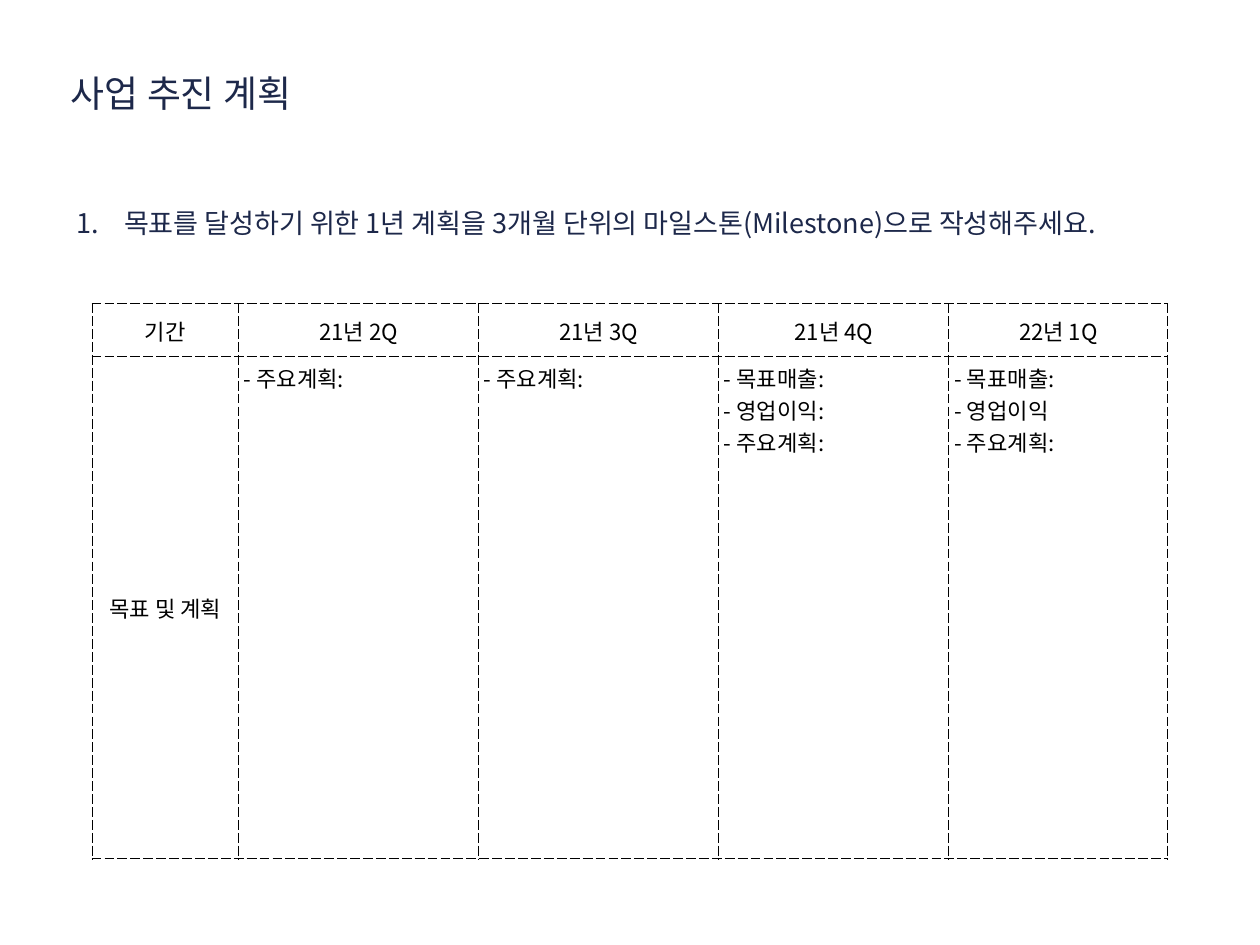
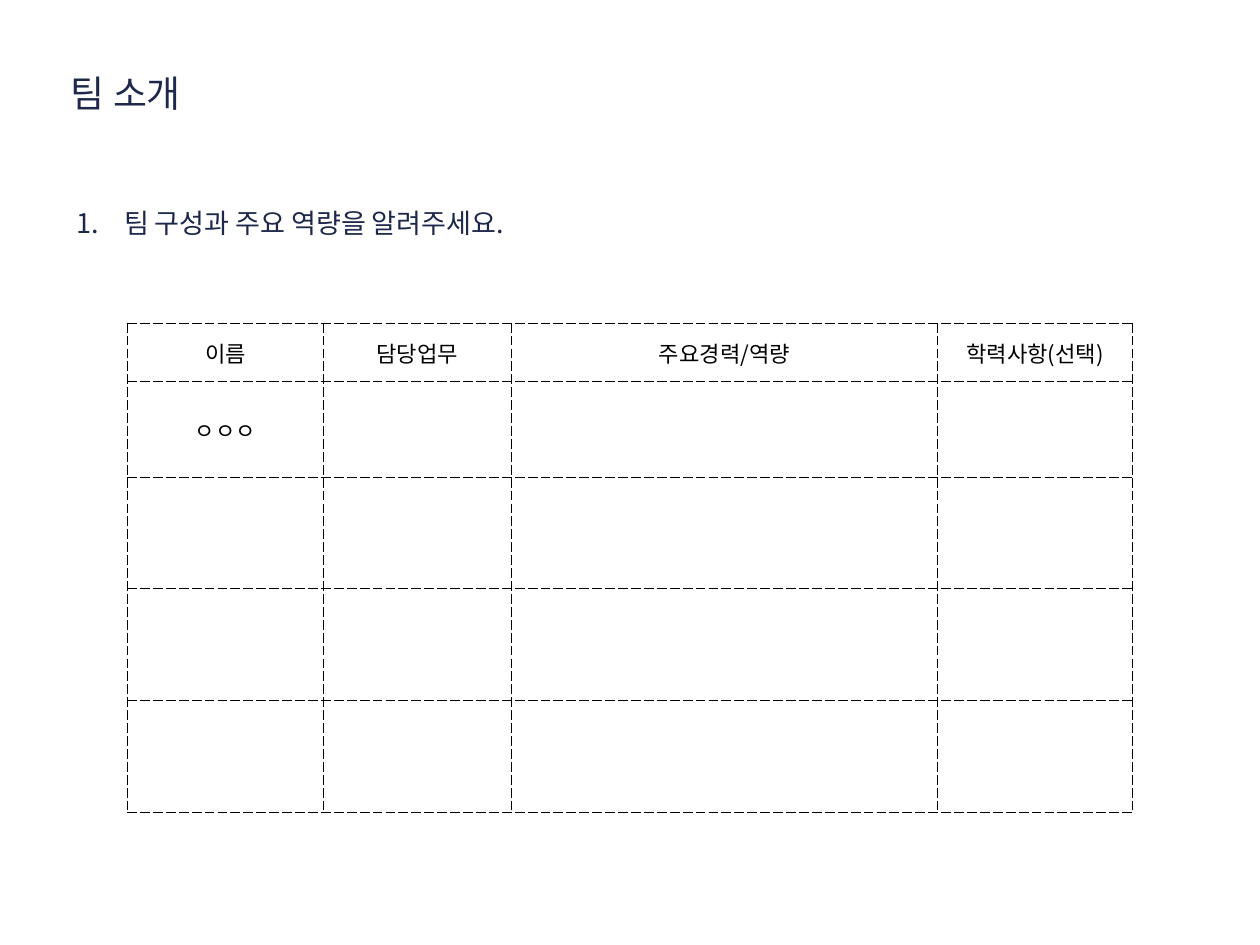
from dataclasses import dataclass

from lxml.etree import SubElement
from pptx import Presentation
from pptx.dml.color import RGBColor
from pptx.enum.text import MSO_ANCHOR, MSO_AUTO_SIZE, PP_ALIGN
from pptx.oxml.ns import qn
from pptx.presentation import Presentation as Deck
from pptx.slide import Slide
from pptx.table import _Cell
from pptx.text.text import TextFrame
from pptx.util import Emu, Pt

EMU_PER_PX = 9144
FONT = "Noto Sans CJK KR"
COLORS = {"navy": "1D284A", "black": "000000"}
INSET = 6
NUMBER_INDENT = 54


@dataclass(frozen=True)
class Grid:
    left: int
    top: int
    columns: tuple[int, ...]
    rows: tuple[int, ...]
    cells: tuple[tuple[str, ...], ...]


@dataclass(frozen=True)
class Page:
    title: str
    title_width: int
    question: str
    grid: Grid


PAGES = (
    Page(
        "사업 추진 계획",
        261,
        "목표를 달성하기 위한 1년 계획을 3개월 단위의 마일스톤(Milestone)으로 작성해주세요.",
        Grid(
            104, 343, (165, 271, 271, 260, 247), (60, 566),
            (
                ("기간", "21년 2Q", "21년 3Q", "21년 4Q", "22년 1Q"),
                (
                    "목표 및 계획",
                    "- 주요계획:",
                    "- 주요계획:",
                    "- 목표매출:\n- 영업이익:\n- 주요계획:",
                    "- 목표매출:\n- 영업이익\n- 주요계획:",
                ),
            ),
        ),
    ),
    Page(
        "팀 소개",
        137,
        "팀 구성과 주요 역량을 알려주세요.",
        Grid(
            144, 365, (221, 212, 481, 220), (66, 108, 126, 126, 126),
            (
                ("이름", "담당업무", "주요경력/역량", "학력사항(선택)"),
                ("ㅇㅇㅇ",),
            ),
        ),
    ),
)


def px(length: int) -> Emu:
    return Emu(length * EMU_PER_PX)


def write_text(frame: TextFrame, text: str, *, size: int, color: str,
               align: PP_ALIGN = PP_ALIGN.LEFT, line_spacing: float | None = None,
               numbered: bool = False) -> None:
    frame.text = text
    for paragraph in frame.paragraphs:
        paragraph.alignment = align
        paragraph.line_spacing = line_spacing
        if numbered:
            properties = paragraph._p.get_or_add_pPr()
            properties.set("marL", str(px(NUMBER_INDENT)))
            properties.set("indent", str(-px(NUMBER_INDENT)))
            SubElement(properties, qn("a:buFont"), typeface=FONT)
            SubElement(properties, qn("a:buAutoNum"), type="arabicPeriod")
        for run in paragraph.runs:
            run.font.size = Pt(size)
            run.font.color.rgb = RGBColor.from_string(COLORS[color])
            run.font.name = FONT
            SubElement(run._r.get_or_add_rPr(), qn("a:ea"), typeface=FONT)


def add_text_frame(slide: Slide, left: int, top: int, width: int, height: int, *,
                   wrap: bool, anchor: MSO_ANCHOR) -> TextFrame:
    frame = slide.shapes.add_textbox(px(left), px(top), px(width), px(height)).text_frame
    frame.margin_left = frame.margin_right = px(INSET)
    frame.margin_top = frame.margin_bottom = px(INSET)
    frame.word_wrap = wrap
    frame.vertical_anchor = anchor
    frame.auto_size = MSO_AUTO_SIZE.SHAPE_TO_FIT_TEXT
    return frame


def style_cell(cell: _Cell, anchor: MSO_ANCHOR) -> None:
    cell.margin_left = cell.margin_right = px(INSET)
    cell.margin_top = cell.margin_bottom = px(INSET)
    cell.vertical_anchor = anchor
    properties = cell._tc.get_or_add_tcPr()
    for side in ("lnL", "lnR", "lnT", "lnB"):
        line = SubElement(properties, qn(f"a:{side}"), w=str(Pt(1)))
        fill = SubElement(line, qn("a:solidFill"))
        SubElement(fill, qn("a:srgbClr"), val=COLORS["black"])
        SubElement(line, qn("a:prstDash"), val="lgDash")
    cell.fill.background()


def add_grid(slide: Slide, grid: Grid) -> None:
    table = slide.shapes.add_table(
        len(grid.rows), len(grid.columns), px(grid.left), px(grid.top),
        px(sum(grid.columns)), px(sum(grid.rows)),
    ).table
    table.first_row = table.horz_banding = False
    for column, width in zip(table.columns, grid.columns):
        column.width = px(width)
    for row, height in zip(table.rows, grid.rows):
        row.height = px(height)
    for cell in table.iter_cells():
        style_cell(cell, MSO_ANCHOR.MIDDLE)
    for row_index, texts in enumerate(grid.cells):
        for column_index, text in enumerate(texts):
            cell = table.cell(row_index, column_index)
            is_list = text.startswith("-")
            if is_list:
                cell.vertical_anchor = MSO_ANCHOR.TOP
            write_text(cell.text_frame, text, size=18, color="black",
                       align=PP_ALIGN.LEFT if is_list else PP_ALIGN.CENTER)


def add_page(presentation: Deck, page: Page) -> None:
    slide = presentation.slides.add_slide(presentation.slide_layouts[6])
    title = add_text_frame(slide, 74, 68, page.title_width, 58,
                           wrap=False, anchor=MSO_ANCHOR.MIDDLE)
    write_text(title, page.title, size=30, color="navy", line_spacing=1.3)
    question = add_text_frame(slide, 80, 216, 1263, 46, wrap=True, anchor=MSO_ANCHOR.TOP)
    write_text(question, page.question, size=22, color="navy",
               line_spacing=1.3, numbered=True)
    add_grid(slide, page.grid)


def main() -> None:
    presentation = Presentation()
    presentation.slide_width = px(1422)
    presentation.slide_height = px(1067)
    for page in PAGES:
        add_page(presentation, page)
    presentation.save("out.pptx")


if __name__ == "__main__":
    main()
